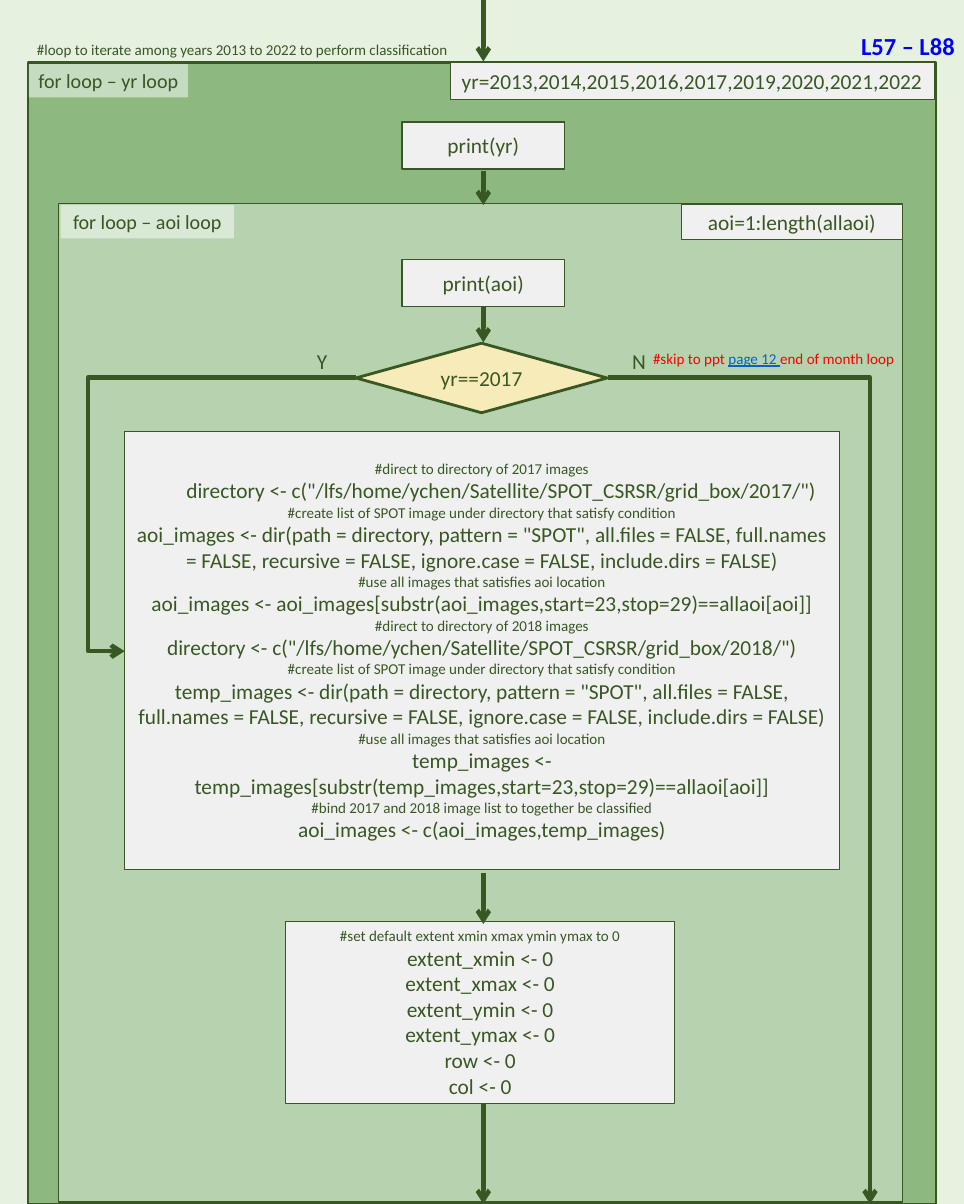
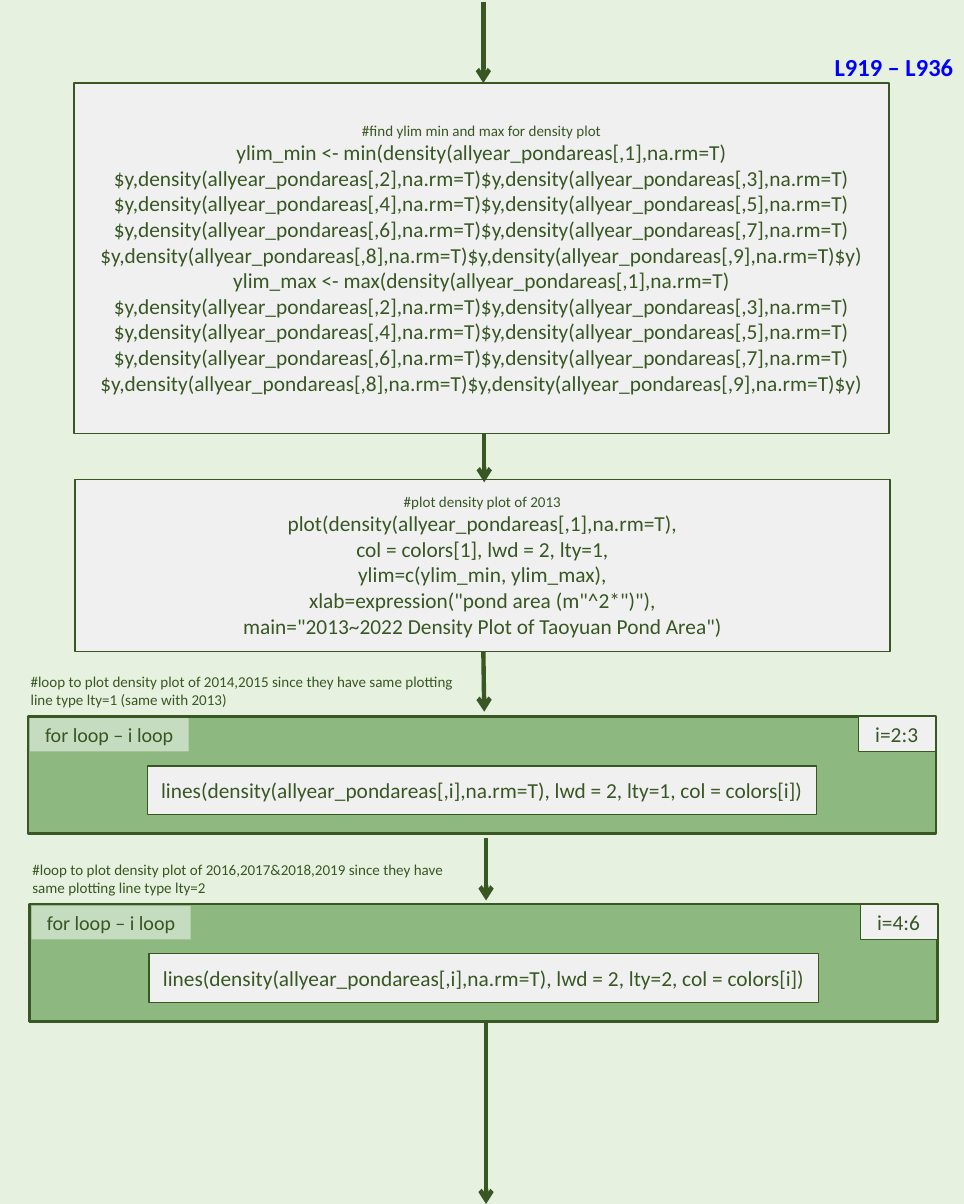
import pptx
import pptx.util
import pptx.dml.color
import pptx.enum.shapes
import pptx.enum.text
import pptx.oxml
import pptx.oxml.ns

PX = 9144  # EMU per px, 100 px to the inch
RGB = pptx.dml.color.RGBColor
PALE = RGB(0xE6, 0xF1, 0xDF)
MID_GREEN = RGB(0x8D, 0xB9, 0x81)
LIGHT_GREEN = RGB(0xB6, 0xD2, 0xAE)
DARK_GREEN = RGB(0x38, 0x57, 0x23)
GREY = RGB(0xF0, 0xF0, 0xF0)
YELLOW = RGB(0xF8, 0xEB, 0xBA)
WHITE = RGB(0xFF, 0xFF, 0xFF)
BLUE = RGB(0x00, 0x00, 0xFF)
LINK_BLUE = RGB(0x05, 0x63, 0xC1)
RED = RGB(0xFF, 0x00, 0x00)
FONT = "Calibri"
MIDDLE = 535  # x of the main flow

qn = pptx.oxml.ns.qn
SHAPE = pptx.enum.shapes.MSO_SHAPE
ALIGN = pptx.enum.text.PP_ALIGN
ANCHOR = pptx.enum.text.MSO_ANCHOR


def add_text(s, x, y, w, h, text="", kind=SHAPE.FLOWCHART_PROCESS, fill=GREY, line=1,
             alpha=None, size=17, color=DARK_GREEN, bold=False, align=ALIGN.CENTER,
             anchor=ANCHOR.MIDDLE, wrap=True):
    """Add a box, or a bare text box if kind is None; # lines are small."""
    area = [v * PX for v in (x, y, w, h)]
    if kind is None:
        sp = s.shapes.add_textbox(*area)
    else:
        sp = s.shapes.add_shape(kind, *area)
        sp.shadow.inherit = False
        sp.fill.solid()
        sp.fill.fore_color.rgb = fill
        if alpha:
            clr = sp.element.spPr.find(".//" + qn("a:srgbClr"))
            clr.append(pptx.oxml.parse_xml(
                f'<a:alpha {pptx.oxml.ns.nsdecls("a")} val="{alpha * 1000}"/>'))
        if line:
            sp.line.color.rgb = DARK_GREEN
            sp.line.width = pptx.util.Pt(line)
        else:
            sp.line.fill.background()
    tf = sp.text_frame
    tf.word_wrap = wrap
    tf.vertical_anchor = anchor
    for i, row in enumerate(text.split("\n") if text else []):
        p = tf.paragraphs[0] if i == 0 else tf.add_paragraph()
        p.alignment = align
        r = p.add_run()
        r.text = row
        r.font.name = FONT
        r.font.size = pptx.util.Pt(12 if row.startswith("#") else size)
        r.font.bold = bold
        r.font.color.rgb = color
    return sp


def add_arrow(s, x1, y1, x2, y2, preset="line", adj=None):
    c = s.shapes.add_connector(pptx.enum.shapes.MSO_CONNECTOR.STRAIGHT,
                               x1 * PX, y1 * PX, x2 * PX, y2 * PX)
    c.line.color.rgb = DARK_GREEN
    c.line.width = pptx.util.Pt(3.5)
    ns = pptx.oxml.ns.nsdecls("a")
    spPr = c.element.spPr
    spPr.find(qn("a:ln")).append(pptx.oxml.parse_xml(f'<a:tailEnd {ns} type="arrow"/>'))
    spPr.append(pptx.oxml.parse_xml(f"<a:effectLst {ns}/>"))
    geom = spPr.find(qn("a:prstGeom"))
    geom.set("prst", preset)
    if adj:
        geom.find(qn("a:avLst")).append(
            pptx.oxml.parse_xml(f'<a:gd {ns} name="adj1" fmla="val {adj}"/>'))


# Formats used on both slides
frame = dict(kind=SHAPE.RECTANGLE, fill=MID_GREEN, line=2.25)
loop_tag = dict(kind=SHAPE.RECTANGLE, fill=WHITE, alpha=50, line=None, size=16,
                anchor=ANCHOR.TOP)
note = dict(kind=None, align=ALIGN.LEFT, anchor=ANCHOR.TOP)
line_range = dict(kind=None, size=19.5, color=BLUE, bold=True, anchor=ANCHOR.TOP)

prs = pptx.Presentation()
prs.slide_width = 1067 * PX
prs.slide_height = 1333 * PX
slides = []
for _ in range(2):
    s = prs.slides.add_slide(prs.slide_layouts[6])
    s.background.fill.solid()
    s.background.fill.fore_color.rgb = PALE
    slides.append(s)

# Slide 1: year and aoi loops
s = slides[0]
add_text(s, 31, 69, 1005, 1265, **frame)
add_text(s, 65, 225, 934, 1106, kind=SHAPE.RECTANGLE, fill=LIGHT_GREEN)
add_text(s, 32, 71, 176, 37, "for loop – yr loop", **loop_tag)
add_text(s, 67, 227, 192, 37, "for loop – aoi loop", **loop_tag)
add_text(s, 498, 69, 536, 41, "yr=2013,2014,2015,2016,2017,2019,2020,2021,2022", line=0.5)
add_text(s, 754, 226, 245, 39, "aoi=1:length(allaoi)", line=0.5)
add_text(s, 31, 40, 485, 30,
         "#loop to iterate among years 2013 to 2022 to perform classification", **note)
add_text(s, 941, 29, 128, 43, "L57 – L88", **line_range)

# Steps
add_text(s, 445, 135, 180, 52, "print(yr)")
add_text(s, 445, 287, 180, 52, "print(aoi)")
list_note = "#create list of SPOT image under directory that satisfy condition"
filter_note = "#use all images that satisfies aoi location"
image_code = [
    "#direct to directory of 2017 images",
    '        directory <- c("/lfs/home/ychen/Satellite/SPOT_CSRSR/grid_box/2017/")',
    list_note,
    'aoi_images <- dir(path = directory, pattern = "SPOT", all.files = FALSE, full.names '
    "= FALSE, recursive = FALSE, ignore.case = FALSE, include.dirs = FALSE)",
    filter_note,
    "aoi_images <- aoi_images[substr(aoi_images,start=23,stop=29)==allaoi[aoi]]",
    "#direct to directory of 2018 images",
    'directory <- c("/lfs/home/ychen/Satellite/SPOT_CSRSR/grid_box/2018/")',
    list_note,
    'temp_images <- dir(path = directory, pattern = "SPOT", all.files = FALSE,',
    "full.names = FALSE, recursive = FALSE, ignore.case = FALSE, include.dirs = FALSE)",
    filter_note,
    "temp_images <- temp_images[substr(temp_images,start=23,stop=29)==allaoi[aoi]]",
    "#bind 2017 and 2018 image list to together be classified",
    "aoi_images <- c(aoi_images,temp_images)",
]
add_text(s, 138, 478, 791, 485, "\n".join(image_code))
add_text(s, 316, 1020, 431, 202, """#set default extent xmin xmax ymin ymax to 0
extent_xmin <- 0
extent_xmax <- 0
extent_ymin <- 0
extent_ymax <- 0
row <- 0
col <- 0""")

# Decision and its branches
add_text(s, 394, 380, 278, 77, "yr==2017", kind=SHAPE.FLOWCHART_DECISION,
         fill=YELLOW, line=2.25)
add_text(s, 341, 380, 32, 39, "Y", wrap=False, **note)
add_text(s, 690, 380, 36, 39, "N", wrap=False, **note)
add_arrow(s, 394, 418, 138, 721, "bentConnector3", 115800)
add_arrow(s, 673, 418, 963, 1333, "bentConnector2")
skip = add_text(s, 713, 382, 290, 30, "#skip to ppt ", color=RED, wrap=False, **note)
for text, color in (("page 12 ", LINK_BLUE), ("end of month loop", RED)):
    r = skip.text_frame.paragraphs[0].add_run()
    r.text = text
    r.font.name = FONT
    r.font.size = pptx.util.Pt(12)
    r.font.color.rgb = color
    r.font.underline = color == LINK_BLUE

# Main flow
for top, bottom in ((0, 68), (189, 227), (340, 379), (966, 1023), (1222, 1333)):
    add_arrow(s, MIDDLE, top, MIDDLE, bottom)

# Slide 2: density plot
s = slides[1]
add_text(s, 914, 53, 154, 43, "L919 – L936", **{**line_range, "align": ALIGN.LEFT})
densities = ",".join(f"density(allyear_pondareas[,{i}],na.rm=T)$y" for i in range(1, 10))
add_text(s, 82, 92, 902, 388, f"""#find ylim min and max for density plot
ylim_min <- min({densities})
ylim_max <- max({densities})""")
add_text(s, 83, 531, 902, 190, """#plot density plot of 2013
plot(density(allyear_pondareas[,1],na.rm=T),
col = colors[1], lwd = 2, lty=1,
ylim=c(ylim_min, ylim_max),
xlab=expression("pond area (m"^2*")"),
main="2013~2022 Density Plot of Taoyuan Pond Area")""")

# The two plotting loops
loops = (
    ("i=2:3", 1, "#loop to plot density plot of 2014,2015 since they have same "
                 "plotting line type lty=1 (same with 2013)"),
    ("i=4:6", 2, "#loop to plot density plot of 2016,2017&2018,2019 since they have "
                 "same plotting line type lty=2"),
)
for n, (steps, lty, remark) in enumerate(loops):
    x, y = 31 + 2 * n, 793 + 208 * n
    add_text(s, x, y, 1005, 130, **frame)
    add_text(s, x + 919, y, 85, 39, steps, line=0.5)
    add_text(s, x + 2, y + 2, 176, 37, "for loop – i loop", **loop_tag)
    add_text(s, x - 7, y - 53, 505, 50, remark, **note)
    add_text(s, x + 132, y + 55, 741, 54,
             f"lines(density(allyear_pondareas[,i],na.rm=T), lwd = 2, lty={lty}, col = colors[i])")

# Main flow
for x1, top, x2, bottom in ((535, 2, 535, 92), (536, 480, 536, 534), (535, 722, 536, 788),
                            (538, 928, 538, 997), (538, 1132, 538, 1333)):
    add_arrow(s, x1, top, x2, bottom)

prs.save("out.pptx")
